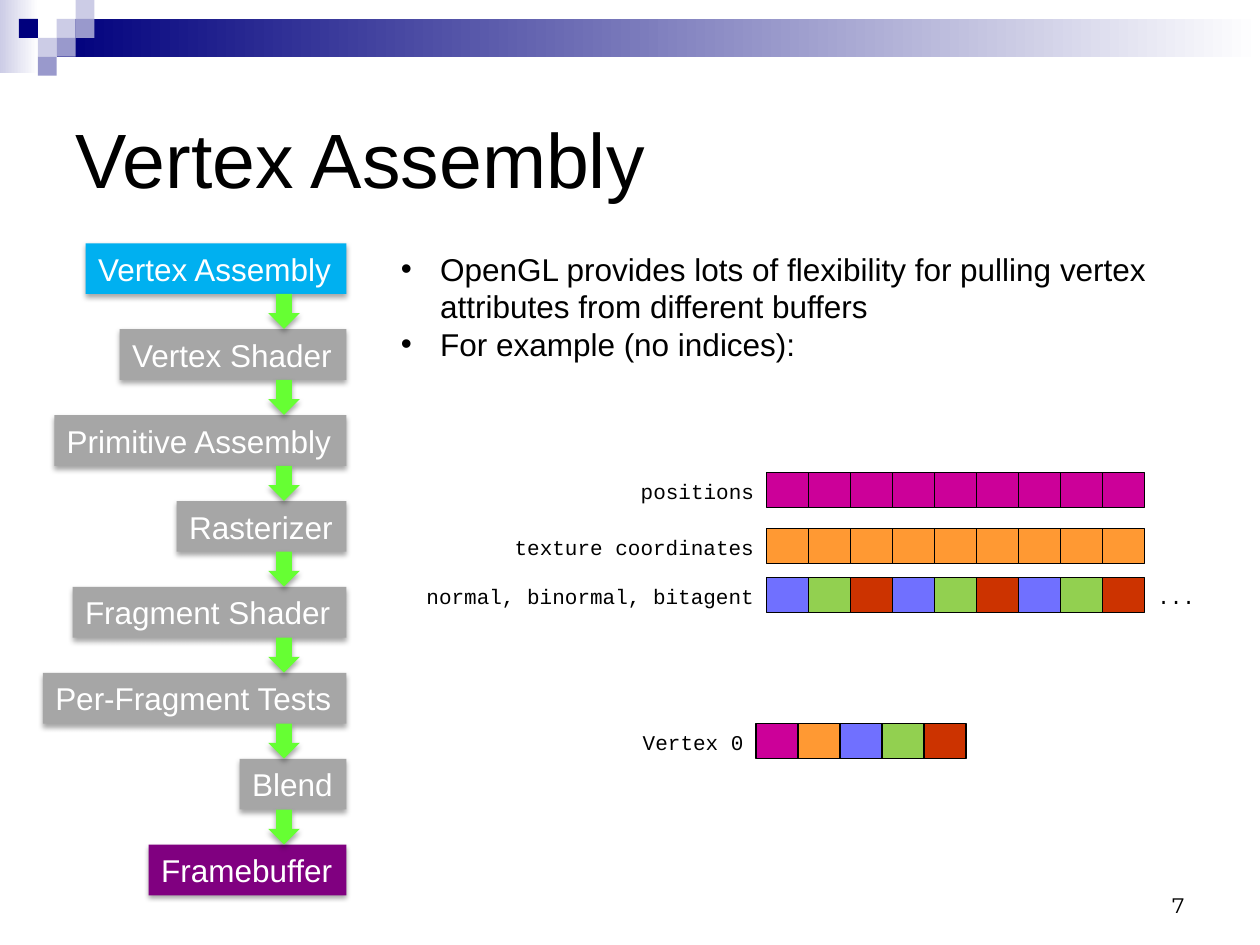
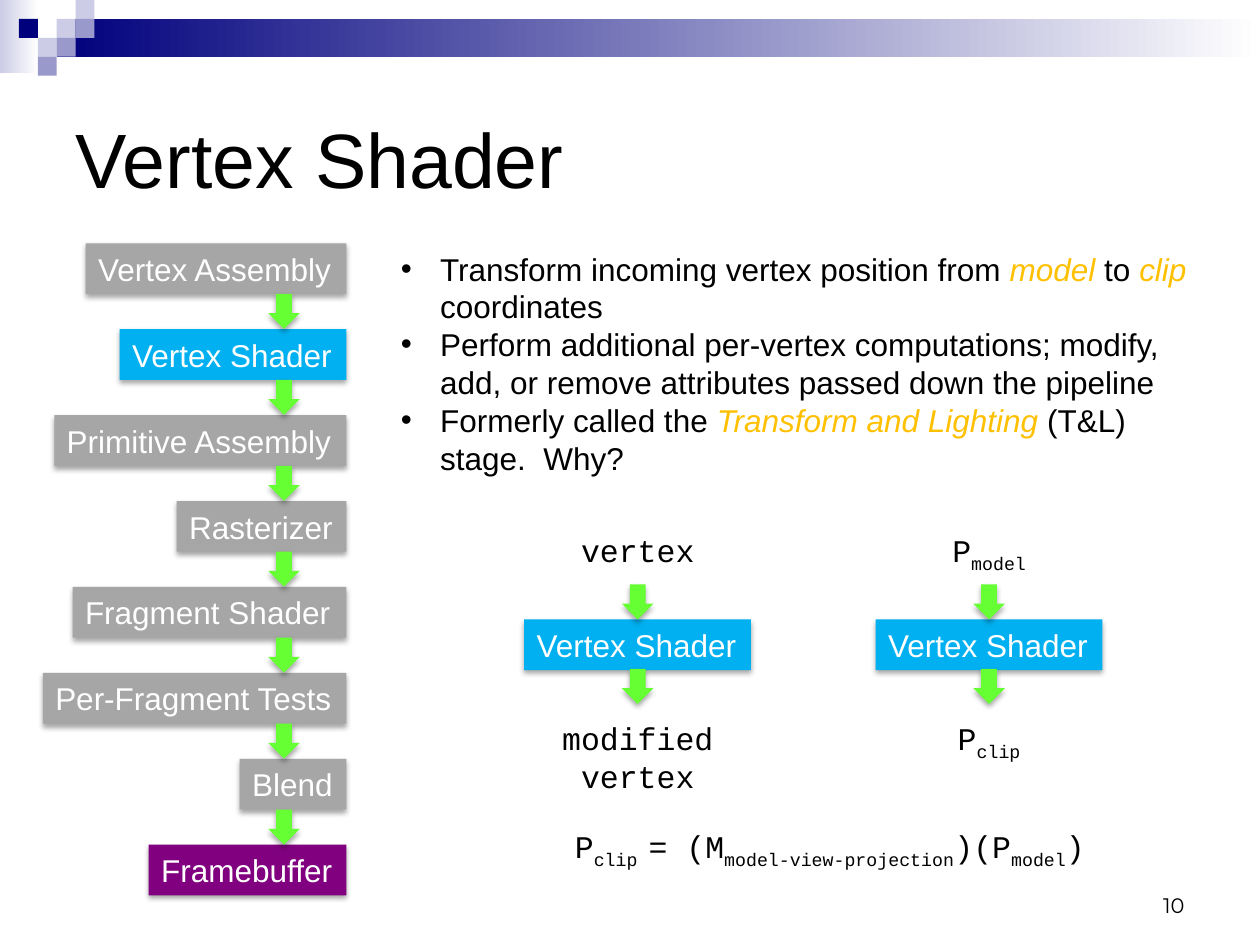
from pptx import Presentation
from pptx.dml.color import RGBColor
from pptx.enum.shapes import MSO_SHAPE
from pptx.enum.text import MSO_ANCHOR, MSO_AUTO_SIZE, PP_ALIGN
from pptx.oxml import parse_xml
from pptx.oxml.ns import nsdecls, qn
from pptx.util import Pt

BLACK = RGBColor(0x00, 0x00, 0x00)
WHITE = RGBColor(0xFF, 0xFF, 0xFF)
NAVY = RGBColor(0x00, 0x00, 0x7D)
LAVENDER = RGBColor(0xCC, 0xCC, 0xE6)
PERIWINKLE = RGBColor(0x99, 0x99, 0xCC)
GRAY = RGBColor(0xA6, 0xA6, 0xA6)
CURRENT_BLUE = RGBColor(0x00, 0xB0, 0xF0)
PURPLE = RGBColor(0x80, 0x00, 0x80)
ARROW_GREEN = RGBColor(0x66, 0xFF, 0x33)
GOLD = RGBColor(0xFF, 0xC0, 0x00)
MAGENTA = RGBColor(0xCC, 0x00, 0x99)
ORANGE = RGBColor(0xFF, 0x99, 0x33)
BLUE = RGBColor(0x70, 0x70, 0xFF)
GREEN = RGBColor(0x92, 0xD0, 0x50)
RED = RGBColor(0xCC, 0x33, 0x00)

TITLE_STYLE = {"name": "Arial", "size": Pt(44), "color": BLACK}
BODY_STYLE = {"name": "Arial", "size": Pt(18), "color": BLACK}
STAGE_STYLE = {"name": "Arial", "size": Pt(18), "color": WHITE}
CODE_STYLE = {"name": "Courier New", "size": Pt(18), "color": BLACK}
LABEL_STYLE = {"name": "Courier New", "size": Pt(12), "color": BLACK}
NUMBER_STYLE = {"name": "Montserrat", "size": Pt(12), "color": BLACK}
EMPHASIS = {"italic": True, "color": GOLD}
SUBSCRIPT = {"baseline": -25000}

STAGE_WIDTHS = {
    "Vertex Assembly": 149,
    "Vertex Shader": 129.6,
    "Primitive Assembly": 167,
    "Rasterizer": 97,
    "Fragment Shader": 156.5,
    "Per-Fragment Tests": 173.5,
    "Blend": 61,
    "Framebuffer": 113,
}
STAGE_HEIGHT = 29
STAGE_PITCH = 49.1
ARROW_WIDTH, ARROW_HEIGHT = 18, 20
CELL_WIDTH, CELL_HEIGHT = 24, 20
LABEL_HEIGHT = 21.6
CHARACTER_WIDTH, TEXT_INSETS = 7.2, 14.4


def write_runs(paragraph, pieces, style):
    """Add pieces, each a string or a (string, format changes) pair."""
    for piece in [pieces] if isinstance(pieces, str) else pieces:
        text, changes = (piece, {}) if isinstance(piece, str) else piece
        run = paragraph.add_run()
        run.text = text
        for name, value in {**style, **changes}.items():
            if name == "color":
                run.font.color.rgb = value
            elif name == "baseline":
                run._r.get_or_add_rPr().set("baseline", str(value))
            else:
                setattr(run.font, name, value)


def add_text(slide, box, pieces, style, alignment=PP_ALIGN.RIGHT, anchor=MSO_ANCHOR.TOP):
    frame = slide.shapes.add_textbox(*map(Pt, box)).text_frame
    frame.word_wrap = False
    frame.vertical_anchor = anchor
    frame.paragraphs[0].alignment = alignment
    write_runs(frame.paragraphs[0], pieces, style)


def add_block(slide, box, color, kind=MSO_SHAPE.RECTANGLE, outlined=False, shadowed=False):
    shape = slide.shapes.add_shape(kind, *map(Pt, box))
    shape.shadow.inherit = False
    shape.fill.solid()
    shape.fill.fore_color.rgb = color
    if outlined:
        shape.line.color.rgb = BLACK
        shape.line.width = Pt(0.75)
    else:
        shape.line.fill.background()
    if shadowed:
        shape._element.spPr.find(qn("a:effectLst")).append(parse_xml(
            f'<a:outerShdw {nsdecls("a")} blurRad="39400" dist="22900" dir="5400000" '
            'rotWithShape="0"><a:srgbClr val="000000"><a:alpha val="35000"/>'
            '</a:srgbClr></a:outerShdw>'))
    return shape


def add_gradient_band(slide, box, color):
    fill = add_block(slide, box, color).fill
    fill.gradient()
    fill.gradient_angle = 0
    for stop, stop_color in zip(fill.gradient_stops, (color, WHITE)):
        stop.color.rgb = stop_color


def add_header_band(slide, unit=10.8):
    """Draw the two gradients and the checkered squares on a grid of units."""
    add_gradient_band(slide, (0, 0, 22, 42), LAVENDER)
    add_gradient_band(slide, (3 * unit, unit, 720 - 3 * unit, 2 * unit), NAVY)
    squares = [(3, 1, LAVENDER), (4, 0, LAVENDER), (4, 1, PERIWINKLE), (2, 2, LAVENDER),
               (1, 1, NAVY), (3, 2, PERIWINKLE), (2, 3, PERIWINKLE)]
    for column, row, color in squares:
        add_block(slide, (column * unit, row * unit, unit, unit), color)


def place(placeholder, box):
    for name, value in zip(("left", "top", "width", "height"), box):
        setattr(placeholder, name, Pt(value))
    frame = placeholder.text_frame
    frame.auto_size = MSO_AUTO_SIZE.NONE
    return frame


def fill_title(slide, box, text):
    frame = place(slide.shapes.title, box)
    frame.vertical_anchor = MSO_ANCHOR.MIDDLE
    frame.paragraphs[0].alignment = PP_ALIGN.LEFT
    write_runs(frame.paragraphs[0], text, TITLE_STYLE)


def fill_bullets(slide, box, items):
    frame = place(slide.placeholders[1], box)
    for index, item in enumerate(items):
        paragraph = frame.add_paragraph() if index else frame.paragraphs[0]
        properties = paragraph._p.get_or_add_pPr()
        properties.set("marL", str(Pt(22.5)))
        properties.set("indent", str(Pt(-22.5)))
        properties.append(parse_xml(f'<a:buFont {nsdecls("a")} typeface="Arial"/>'))
        properties.append(parse_xml(f'<a:buChar {nsdecls("a")} char="•"/>'))
        paragraph.space_before = Pt(0)
        write_runs(paragraph, item, BODY_STYLE)


def add_stage(slide, left, top, name, color):
    box = (left, top, STAGE_WIDTHS[name], STAGE_HEIGHT)
    frame = add_block(slide, box, color, shadowed=True).text_frame
    frame.word_wrap = False
    frame.paragraphs[0].alignment = PP_ALIGN.LEFT
    write_runs(frame.paragraphs[0], name, STAGE_STYLE)


def add_arrow(slide, center, top):
    box = (center - ARROW_WIDTH / 2, top, ARROW_WIDTH, ARROW_HEIGHT)
    add_block(slide, box, ARROW_GREEN, MSO_SHAPE.DOWN_ARROW, shadowed=True)


def add_pipeline(slide, right, top, current):
    """Stack the right-aligned stages, the current one highlighted."""
    colors = {"Framebuffer": PURPLE, current: CURRENT_BLUE}
    for index, (name, width) in enumerate(STAGE_WIDTHS.items()):
        add_stage(slide, right - width, top + index * STAGE_PITCH, name, colors.get(name, GRAY))
    for index in range(len(STAGE_WIDTHS) - 1):
        add_arrow(slide, right - 35.7, top + STAGE_HEIGHT + index * STAGE_PITCH)


def add_buffer(slide, left, top, label, colors, trailer=None):
    """Draw a row of cells with a label before it and perhaps one after."""
    width = len(label) * CHARACTER_WIDTH + TEXT_INSETS
    add_text(slide, (left - width, top, width, LABEL_HEIGHT), label, LABEL_STYLE)
    for index, color in enumerate(colors):
        box = (left + index * CELL_WIDTH, top, CELL_WIDTH, CELL_HEIGHT)
        add_block(slide, box, color, outlined=True)
    if trailer:
        width = len(trailer) * CHARACTER_WIDTH + TEXT_INSETS
        box = (left + len(colors) * CELL_WIDTH, top, width, LABEL_HEIGHT)
        add_text(slide, box, trailer, LABEL_STYLE)


def add_shader_flow(slide, center, top, source, result):
    """Draw source, shader and result downwards, joined by arrows."""
    for offset, pieces in ((0, source), (107.5, result)):
        box = (center - 88, top + offset, 176, STAGE_HEIGHT)
        add_text(slide, box, pieces, CODE_STYLE, PP_ALIGN.CENTER)
    name = "Vertex Shader"
    add_stage(slide, center - STAGE_WIDTHS[name] / 2, top + 54, name, CURRENT_BLUE)
    for offset in (34, 82.3):
        add_arrow(slide, center, top + offset)


def add_stage_slide(presentation, stage, number, bullets, bullets_height):
    slide = presentation.slides.add_slide(presentation.slide_layouts[1])
    add_header_band(slide)
    fill_title(slide, (36, 36, 648, 108), stage)
    fill_bullets(slide, (221.8, 139, 468, bullets_height), bullets)
    add_pipeline(slide, 198, 139, stage)
    add_text(slide, (516, 492, 168, 36), number, NUMBER_STYLE, anchor=MSO_ANCHOR.BOTTOM)
    return slide


def add_vertex_assembly(presentation):
    slide = add_stage_slide(presentation, "Vertex Assembly", "7", [
        "OpenGL provides lots of flexibility for pulling vertex attributes from different buffers",
        "For example (no indices):",
    ], 94)
    left = 438
    add_buffer(slide, left, 270, "positions", [MAGENTA] * 9)
    add_buffer(slide, left, 302.2, "texture coordinates", [ORANGE] * 9)
    add_buffer(slide, left, 330, "normal, binormal, bitagent", [BLUE, GREEN, RED] * 3, "...")
    add_buffer(slide, 432, 413.4, "Vertex 0", [MAGENTA, ORANGE, BLUE, GREEN, RED])


def add_vertex_shader(presentation):
    slide = add_stage_slide(presentation, "Vertex Shader", "10", [
        ["Transform incoming vertex position from ", ("model", EMPHASIS), " to ",
         ("clip", EMPHASIS), " coordinates"],
        "Perform additional per-vertex computations; modify, add, or remove attributes "
        "passed down the pipeline",
        ["Formerly called the ", ("Transform and Lighting", EMPHASIS), " (T&L) stage.  Why?"],
    ], 181)
    model, clip = ("model", SUBSCRIPT), ("clip", SUBSCRIPT)
    add_shader_flow(slide, 364.4, 300, "vertex", "modified vertex")
    add_shader_flow(slide, 565.2, 300, ["P", model], ["P", clip])
    add_text(slide, (288, 469, 339, STAGE_HEIGHT),
             ["P", ("clip ", SUBSCRIPT), "= (M", ("model-view-projection", SUBSCRIPT),
              ")(P", model, ")"], CODE_STYLE)


def main():
    presentation = Presentation()
    presentation.slide_width, presentation.slide_height = Pt(720), Pt(540)
    add_vertex_assembly(presentation)
    add_vertex_shader(presentation)
    presentation.save("out.pptx")


if __name__ == "__main__":
    main()
